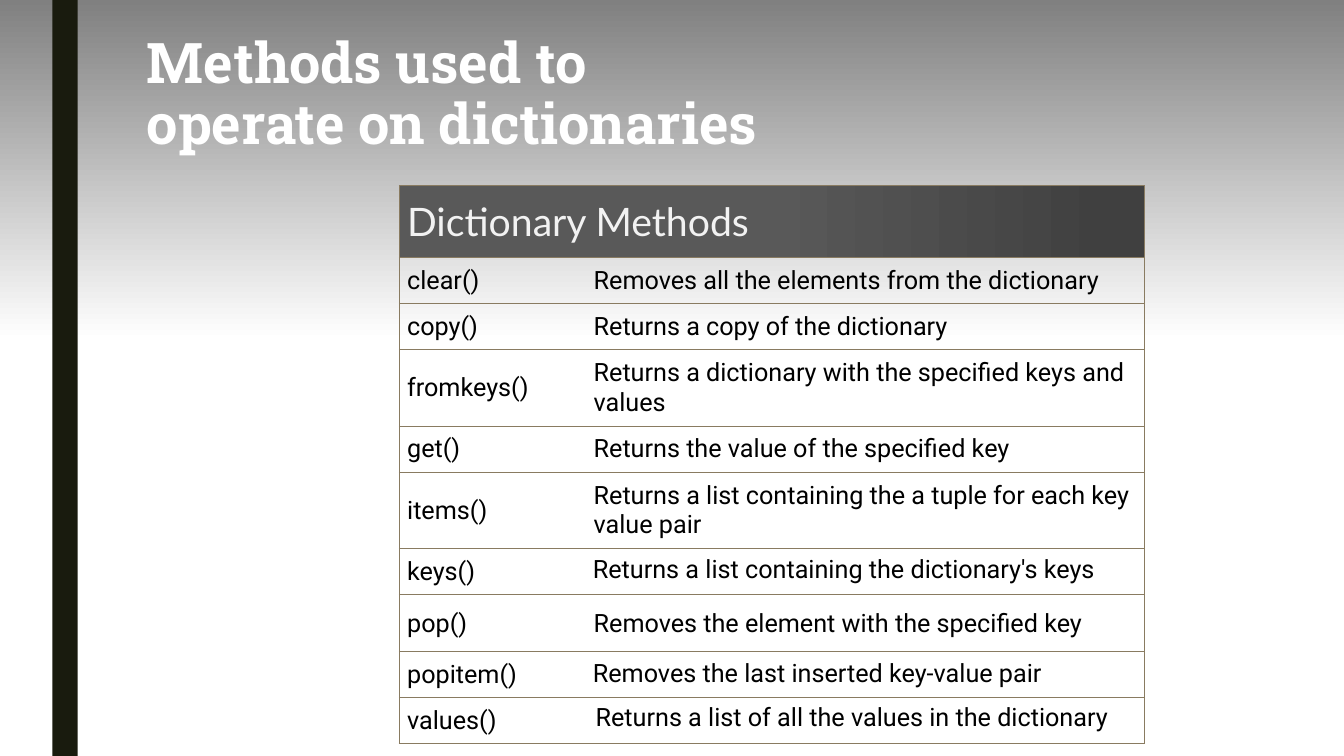
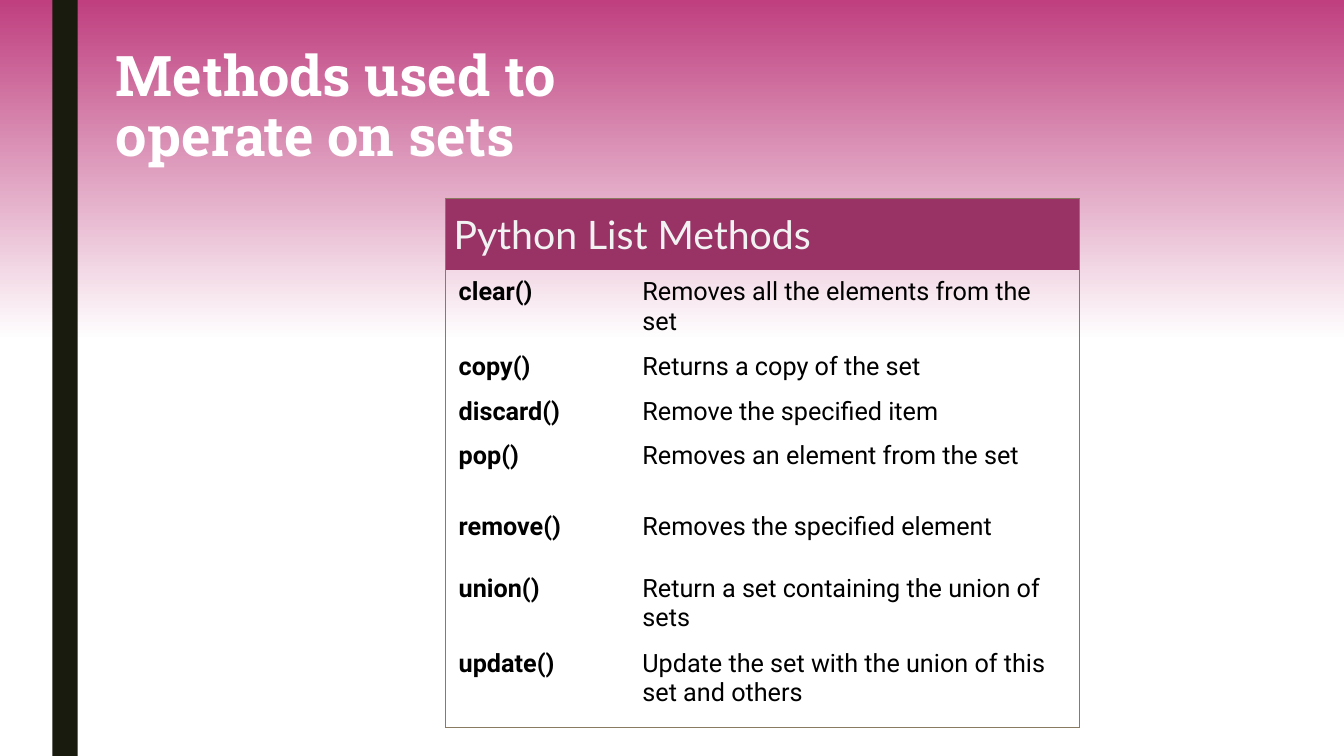
"""Build two slides listing the methods of Python dictionaries and sets."""
from dataclasses import dataclass
from typing import NamedTuple

from lxml.etree import SubElement
from pptx import Presentation
from pptx.dml.color import RGBColor as RGB
from pptx.enum.shapes import MSO_SHAPE as Shape
from pptx.enum.text import MSO_ANCHOR as Anchor
from pptx.oxml.ns import qn
from pptx.util import Cm, Pt


@dataclass(frozen=True)
class Theme:
    bar: str = "191B0E"
    border: str = "897B61"
    light: str = "FFFFFF"
    header_text: str = "F2F2F2"
    body_text: str = "000000"
    title_font: str = "Roboto Slab"
    header_font: str = "Lato"
    body_font: str = "Roboto"
    title_size: int = 40
    header_size: int = 28
    body_size: int = 18
    border_width: float = 0.5


class Box(NamedTuple):
    left: float
    top: float
    right: float
    bottom: float
    anchor: Anchor


class Method(NamedTuple):
    name: str
    text: str
    height: float
    text_box: Box


@dataclass(frozen=True)
class MethodSlide:
    title: str
    title_at: tuple[float, float]
    background: str
    header: str
    header_fill: tuple[str, ...]
    table_at: tuple[float, float]
    columns: tuple[float, float]
    name_box: Box
    bold_names: bool
    row_lines: bool
    methods: list[Method]


THEME = Theme()
HEADER_HEIGHT = 1.81
HEADER_BOX = Box(0.2, 0.3, 0.18, 0.3, Anchor.MIDDLE)
MIDDLE = Box(0.2, 0.2, 0.18, 0.18, Anchor.MIDDLE)
TOP = Box(0.18, 0.18, 0.18, 0.18, Anchor.TOP)
TOP_NAME = TOP._replace(left=0.33)
TOP_WIDE = Box(0.25, 0.13, 0.25, 0.13, Anchor.TOP)

SLIDES = [
    MethodSlide(
        "Methods used to operate on dictionaries", (3.45, 0.58), "808080",
        "Dictionary Methods", ("404040", "595959"),
        (10.06, 4.67), (4.7, 14.07), MIDDLE, False, True,
        [
            Method("clear()", "Removes all the elements from the dictionary", 1.16, MIDDLE),
            Method("copy()", "Returns a copy of the dictionary", 1.16, MIDDLE),
            Method("fromkeys()", "Returns a dictionary with the specified keys and values", 1.93, MIDDLE),
            Method("get()", "Returns the value of the specified key", 1.16, MIDDLE),
            Method("items()", "Returns a list containing the a tuple for each key value pair", 1.93, MIDDLE),
            Method("keys()", "Returns a list containing the dictionary's keys", 1.16, TOP),
            Method("pop()", "Removes the element with the specified key", 1.44, MIDDLE),
            Method("popitem()", "Removes the last inserted key-value pair", 1.16, TOP),
            Method("values()", "Returns a list of all the values in the dictionary", 1.16, TOP_WIDE),
        ],
    ),
    MethodSlide(
        "Methods used to operate on sets", (2.67, 0.89), "BF3F7F",
        "Python List Methods", ("993366",),
        (11.23, 5.0), (4.78, 11.18), TOP_NAME, True, False,
        [
            Method("clear()", "Removes all the elements from the set", 1.79, TOP),
            Method("copy()", "Returns a copy of the set", 1.1, TOP),
            Method("discard()", "Remove the specified item", 1.1, TOP),
            Method("pop()", "Removes an element from the set", 1.79, TOP),
            Method("remove()", "Removes the specified element", 1.55, TOP),
            Method("union()", "Return a set containing the union of sets", 1.86, TOP),
            Method("update()", "Update the set with the union of this set and others", 2.16, TOP),
        ],
    ),
]


def write(tf, text: str, *, font: str = THEME.body_font, size: float = THEME.body_size,
          color: str = THEME.body_text, bold: bool = False, spacing: float = 1.0) -> None:
    p = tf.paragraphs[0]
    p.line_spacing = spacing
    r = p.add_run()
    r.text = text
    r.font.name, r.font.size, r.font.bold = font, Pt(size), bold
    r.font.color.rgb = RGB.from_string(color)


def fill_gradient(fill, angle: float, *stops: tuple[float, str]) -> None:
    fill.gradient()
    fill.gradient_angle = angle
    for stop, (position, color) in zip(fill.gradient_stops, stops):
        stop.position = position
        stop.color.rgb = RGB.from_string(color)


def set_borders(cell, sides: str) -> None:
    tc_pr = cell._tc.get_or_add_tcPr()
    for i, side in enumerate("LRTB"):
        ln = SubElement(tc_pr, qn(f"a:ln{side}"), w=str(Pt(THEME.border_width)))
        if side in sides:
            SubElement(SubElement(ln, qn("a:solidFill")), qn("a:srgbClr"), val=THEME.border)
        else:
            SubElement(ln, qn("a:noFill"))
        tc_pr.insert(i, ln)


def format_cell(cell, box: Box, sides: str) -> None:
    cell.margin_left, cell.margin_top = Cm(box.left), Cm(box.top)
    cell.margin_right, cell.margin_bottom = Cm(box.right), Cm(box.bottom)
    cell.vertical_anchor = box.anchor
    cell.fill.background()
    set_borders(cell, sides)


def add_bar(s, height: int) -> None:
    sp = s.shapes.add_shape(Shape.RECTANGLE, Cm(1.32), 0, Cm(0.64), height)
    sp.shadow.inherit = False
    sp.fill.solid()
    sp.fill.fore_color.rgb = RGB.from_string(THEME.bar)
    sp.line.fill.background()


def add_title(s, text: str, at: tuple[float, float]) -> None:
    tf = s.shapes.add_textbox(*map(Cm, at), Cm(16.54), Cm(3.68)).text_frame
    tf.word_wrap = True
    tf.vertical_anchor = Anchor.MIDDLE
    write(tf, text, font=THEME.title_font, size=THEME.title_size,
          color=THEME.light, bold=True, spacing=0.9)


def add_table(s, spec: MethodSlide) -> None:
    heights = [HEADER_HEIGHT, *(m.height for m in spec.methods)]
    table = s.shapes.add_table(len(heights), 2, *map(Cm, spec.table_at),
                               Cm(sum(spec.columns)), Cm(sum(heights))).table
    table.first_row = table.horz_banding = False
    for column, width in zip(table.columns, spec.columns):
        column.width = Cm(width)
    for row, height in zip(table.rows, heights):
        row.height = Cm(height)

    head, head_end = table.cell(0, 0), table.cell(0, 1)
    head.merge(head_end)
    head_sides = "LRTB" if spec.row_lines else "LRT"
    for cell in (head, head_end):
        format_cell(cell, HEADER_BOX, head_sides)
    if len(spec.header_fill) == 1:
        head.fill.solid()
        head.fill.fore_color.rgb = RGB.from_string(spec.header_fill[0])
    else:
        dark, pale = spec.header_fill
        fill_gradient(head.fill, 180, (0.05, dark), (0.5, pale))
    write(head.text_frame, spec.header, font=THEME.header_font,
          size=THEME.header_size, color=THEME.header_text)

    for i, m in enumerate(spec.methods, 1):
        lines = "TB" if spec.row_lines else "B" if i == len(spec.methods) else ""
        name, text = table.cell(i, 0), table.cell(i, 1)
        format_cell(name, spec.name_box, "L" + lines)
        format_cell(text, m.text_box, "R" + lines)
        write(name.text_frame, m.name, bold=spec.bold_names)
        write(text.text_frame, m.text)


def main() -> None:
    prs = Presentation()
    prs.slide_width, prs.slide_height = Cm(33.87), Cm(19.05)
    for spec in SLIDES:
        s = prs.slides.add_slide(prs.slide_layouts[6])
        fill_gradient(s.background.fill, 270, (0, spec.background), (0.45, THEME.light))
        add_bar(s, prs.slide_height)
        add_title(s, spec.title, spec.title_at)
        add_table(s, spec)
    prs.save("out.pptx")


if __name__ == "__main__":
    main()
